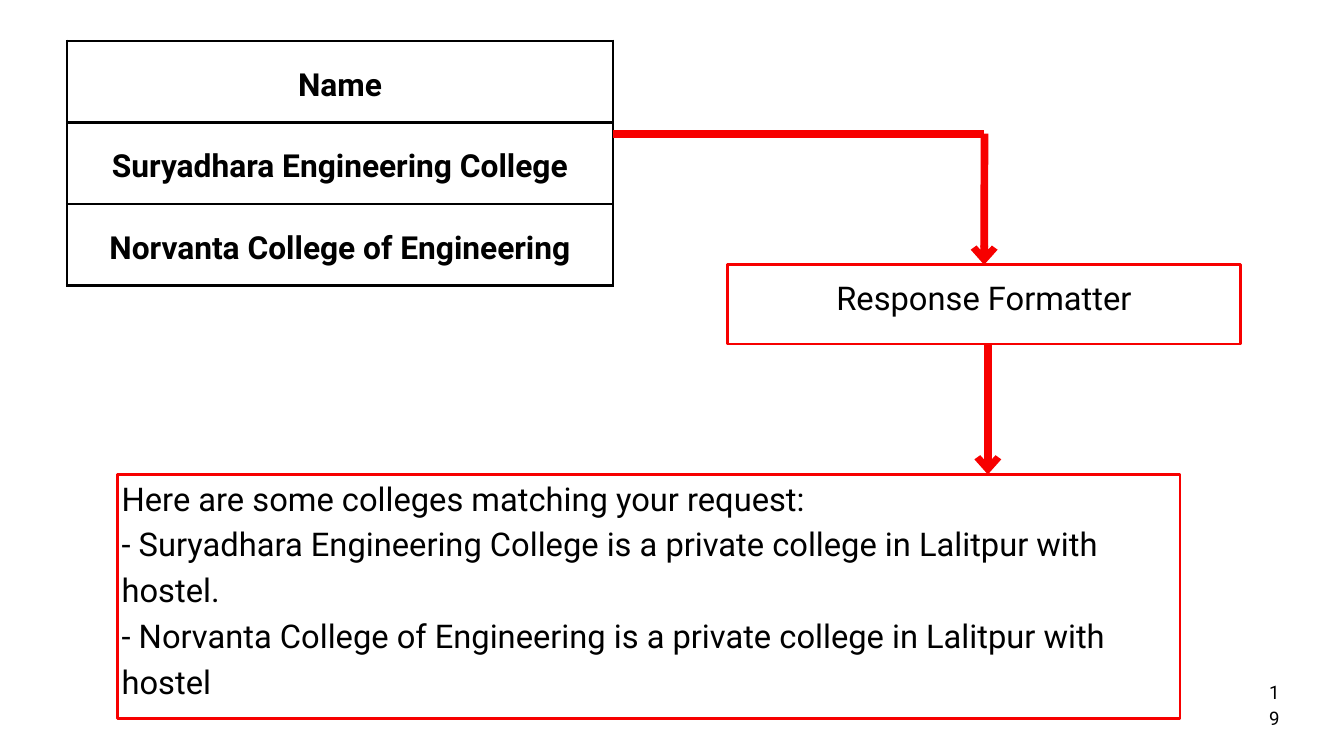
from lxml import etree
from pptx import Presentation
from pptx.dml.color import RGBColor
from pptx.enum.shapes import MSO_CONNECTOR, MSO_SHAPE
from pptx.enum.text import MSO_ANCHOR, PP_ALIGN
from pptx.oxml import parse_xml
from pptx.oxml.ns import nsdecls, qn
from pptx.util import Inches, Pt

BLACK = RGBColor(0x00, 0x00, 0x00)
WHITE = RGBColor(0xFF, 0xFF, 0xFF)
RED = RGBColor(0xF7, 0x00, 0x00)
STRAIGHT = MSO_CONNECTOR.STRAIGHT
RECT = MSO_SHAPE.RECTANGLE
MIDDLE, TOP = MSO_ANCHOR.MIDDLE, MSO_ANCHOR.TOP
LEFT, CENTER = PP_ALIGN.LEFT, PP_ALIGN.CENTER
FONT = "Roboto"

deck = Presentation()
deck.slide_width, deck.slide_height = Inches(20), Inches(11.25)
slide = deck.slides.add_slide(deck.slide_layouts[6])
shapes = slide.shapes
UNIT = deck.slide_width / 20  # square grid: 20 columns by 11.25 rows


def grid(*cells):
    """Turn grid columns and rows into slide lengths."""
    return [round(cell * UNIT) for cell in cells]


def write(frame, lines, size, align, bold=False):
    """Fill a text frame, one paragraph a line, at 1.4 line spacing."""
    frame.text = "\n".join(lines)
    for para in frame.paragraphs:
        para.alignment = align
        para.line_spacing = Pt(size * 1.4)
        para.font.size = Pt(size)
        para.font.name = FONT
        para.font.bold = bold
        para.font.color.rgb = BLACK


# Table of college names
names = ["Name", "Suryadhara Engineering College", "Norvanta College of Engineering"]
table = shapes.add_table(len(names), 1, *grid(1, 0.61, 8.12, 3.64)).table
table.first_row = table.horz_banding = False
for row, name in enumerate(names):
    cell = table.cell(row, 0)
    cell.fill.background()
    cell.vertical_anchor = MIDDLE
    pad = grid(0.21)[0]
    cell.margin_left = cell.margin_right = cell.margin_top = cell.margin_bottom = pad
    write(cell.text_frame, [name], 34, CENTER, bold=True)
    props = cell._tc.get_or_add_tcPr()
    for spot, side in enumerate(("lnL", "lnR", "lnT", "lnB")):
        props.insert(spot, parse_xml(
            f'<a:{side} {nsdecls("a")} w="{Pt(3)}"><a:solidFill>'
            f'<a:srgbClr val="{BLACK}"/></a:solidFill></a:{side}>'))

# Red boxes; each text area starts a little above its box
RISE = 0.3
reply = [
    "Here are some colleges matching your request:",
    f"- {names[1]} is a private college in Lalitpur with hostel.",
    f"- {names[2]} is a private college in Lalitpur with hostel",
]
boxes = []
for left, top, width, height, lines, align in [
    (10.83, 3.94, 7.63, 1.18, ["Response Formatter"], CENTER),
    (1.75, 7.06, 15.81, 3.63, reply, LEFT),
]:
    box = shapes.add_shape(RECT, *grid(left, top, width, height))
    box.shadow.inherit = False
    box.fill.solid()
    box.fill.fore_color.rgb = WHITE
    box.line.color.rgb = RED
    box.line.width = Pt(3)
    boxes.append(box)
    frame = shapes.add_textbox(*grid(left, top - RISE, width, height + RISE)).text_frame
    frame.word_wrap = True
    frame.vertical_anchor = MIDDLE
    pad = grid(0.06)[0]
    frame.margin_left = frame.margin_right = frame.margin_top = frame.margin_bottom = pad
    write(frame, lines, 35, align)

# Flow from the table through the formatter to the reply
form = boxes[0]
turn = 14.65
for ends, arrow, goal in [
    ((9.12, 1.99, turn, 1.99), False, None),
    ((turn, 1.99, turn, 3.94), True, form),
    ((14.7, 5.12, 14.7, 7.06), True, None),
]:
    link = shapes.add_connector(STRAIGHT, *grid(*ends))
    link.line.color.rgb = RED
    link.line.width = Pt(8.25)
    if goal:
        link.end_connect(goal, 0)
    if arrow:
        etree.SubElement(link.line._get_or_add_ln(), qn("a:tailEnd"), type="arrow", len="sm")
    etree.SubElement(link._element.spPr, qn("a:effectLst"))

# Page number, in a box one digit wide
frame = shapes.add_textbox(*grid(18.88, 10.07, 0.17, 0.78)).text_frame
frame.word_wrap = True
frame.vertical_anchor = TOP
frame.margin_left = frame.margin_right = frame.margin_top = frame.margin_bottom = 0
write(frame, ["19"], 20, CENTER)

deck.save("out.pptx")
